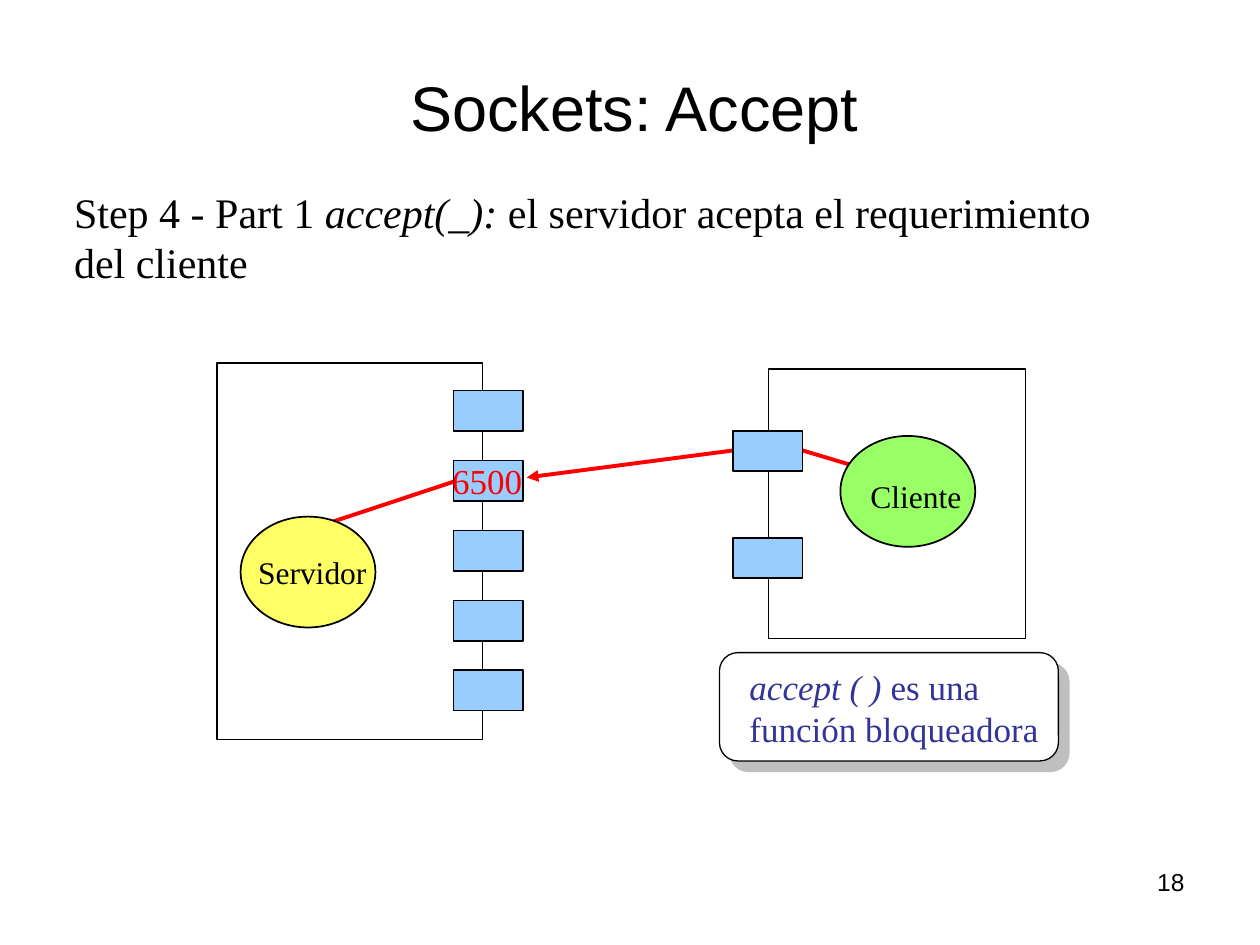
from lxml import etree
from pptx import Presentation
from pptx.dml.color import RGBColor
from pptx.enum.shapes import MSO_CONNECTOR as Connector, MSO_SHAPE as Shape
from pptx.enum.text import MSO_ANCHOR as Anchor, MSO_AUTO_SIZE as AutoSize, PP_ALIGN as Align
from pptx.oxml import parse_xml
from pptx.oxml.ns import nsdecls, qn
from pptx.util import Inches, Pt

# Content: each paragraph is a list of (text, italic) spans
TITLE = [[("Sockets: Accept", False)]]
STEP = [
    [("Step 4 - Part 1 ", False), ("accept(_): ", True),
     ("el servidor acepta el requerimiento", False)],
    [("del cliente", False)],
]
NOTE = [[("accept ( ) ", True), ("es una", False)],
        [("función bloqueadora", False)]]
SERVER, CLIENT, PORT = [[[(word, False)]] for word in ("Servidor", "Cliente", "6500")]
PAGE_NUMBER = [[("18", False)]]

# Style and layout in inches
SERIF, SANS = "Times New Roman", "Arial"
BLACK, WHITE, RED, NAVY = "000000", "FFFFFF", "FF0000", "333399"
PORT_BLUE, YELLOW, GREEN = "99CCFF", "FFFF66", "99FF66"
PORT_SIZE, PROCESS_SIZE = (0.55, 0.32), (1.07, 0.88)
SERVER_PORT_X, SERVER_PORT_Y, SERVER_PORT_STEP = 3.6, 3.1, 0.555
USED_PORT = 1
CLIENT_PORT_X = 5.82

deck = Presentation()
deck.slide_width, deck.slide_height = Inches(10), Inches(7.5)
page = deck.slides.add_slide(deck.slide_layouts[5])


def color(value):
    return RGBColor.from_string(value)


def add_shape(kind, x, y, size, fill, width=1):
    shape = page.shapes.add_shape(kind, Inches(x), Inches(y), *map(Inches, size))
    shape.shadow.inherit = False
    shape.fill.solid()
    shape.fill.fore_color.rgb = color(fill)
    shape.line.color.rgb = color(BLACK)
    shape.line.width = Pt(width)
    return shape


def add_port(x, y):
    add_shape(Shape.RECTANGLE, x, y, PORT_SIZE, PORT_BLUE)


def add_link(start, end, arrow=False):
    link = page.shapes.add_connector(Connector.STRAIGHT, *map(Inches, start + end))
    link.line.color.rgb = color(RED)
    link.line.width = Pt(2.25)
    if arrow:
        etree.SubElement(link.line._get_or_add_ln(), qn("a:headEnd"), type="triangle")
    etree.SubElement(link._element.spPr, qn("a:effectLst"))


def write(box, paragraphs, size, font=SERIF, ink=BLACK, align=Align.LEFT,
          anchor=Anchor.TOP, wrap=False):
    frame = box.text_frame
    frame.word_wrap = wrap
    frame.auto_size = AutoSize.NONE if wrap else AutoSize.SHAPE_TO_FIT_TEXT
    frame.vertical_anchor = anchor
    for index, spans in enumerate(paragraphs):
        para = frame.add_paragraph() if index else frame.paragraphs[0]
        para.alignment = align
        for text, italic in spans:
            span = para.add_run()
            span.text = text
            span.font.size = Pt(size)
            span.font.name = font
            span.font.italic = italic
            span.font.color.rgb = color(ink)


def add_text(x, y, width, height, paragraphs, size, **style):
    box = page.shapes.add_textbox(*map(Inches, (x, y, width, height)))
    write(box, paragraphs, size, **style)


# Title, step description and page number
title = page.shapes.title
title.left, title.top, title.width, title.height = map(Inches, (0.57, 0.34, 8.93, 1))
write(title, TITLE, 36, font=SANS, align=Align.CENTER, anchor=Anchor.MIDDLE, wrap=True)
add_text(0.49, 1.43, 8.36, 0.9, STEP, 24)
add_text(7.17, 6.83, 2.33, 0.52, PAGE_NUMBER, 14, font=SANS, align=Align.RIGHT, wrap=True)

# Server machine with its column of ports
add_shape(Shape.RECTANGLE, 1.72, 2.88, (2.11, 2.99), WHITE)
add_link((2.19, 4.29), (3.64, 3.81))
for row in range(5):
    add_port(SERVER_PORT_X, SERVER_PORT_Y + row * SERVER_PORT_STEP)
add_text(3.49, SERVER_PORT_Y + USED_PORT * SERVER_PORT_STEP - 0.06, 0.78, 0.44,
         PORT, 20, ink=RED)
add_shape(Shape.OVAL, 1.91, 4.1, PROCESS_SIZE, YELLOW)
add_text(1.95, 4.34, 1.08, 0.4, SERVER, 18)

# Client machine and its request to the server
add_link((4.18, 3.79), (5.86, 3.57), arrow=True)
add_shape(Shape.RECTANGLE, 6.1, 2.93, (2.04, 2.14), WHITE, 0.75)
add_link((6.32, 3.56), (6.92, 3.74))
for port_y in (3.42, 4.27):
    add_port(CLIENT_PORT_X, port_y)
add_shape(Shape.OVAL, 6.67, 3.46, PROCESS_SIZE, GREEN)
add_text(6.81, 3.74, 0.94, 0.4, CLIENT, 18)

# Note with a hard drop shadow
note = add_shape(Shape.ROUNDED_RECTANGLE, 5.71, 5.18, (2.69, 0.86), WHITE, 0.75)
note.adjustments[0] = 0.17
effects = note._element.spPr.find(qn("a:effectLst"))
effects.append(parse_xml(
    f'<a:outerShdw {nsdecls("a")} blurRad="0" dist="{Pt(8.5)}" dir="2700000" '
    'algn="ctr" rotWithShape="0"><a:srgbClr val="808080"><a:alpha val="50000"/>'
    '</a:srgbClr></a:outerShdw>'))
add_text(5.85, 5.23, 2.53, 0.77, NOTE, 20, ink=NAVY)

deck.save("out.pptx")
